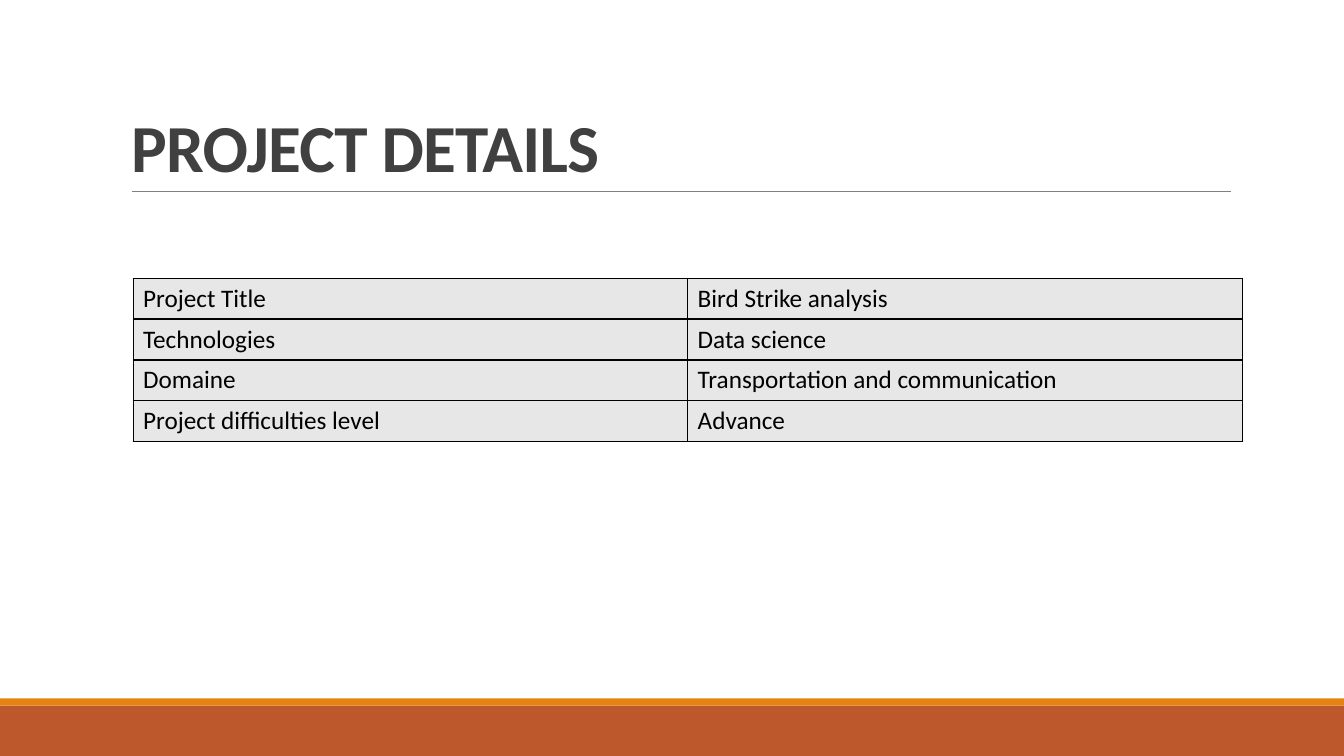
from lxml import etree
from pptx import Presentation
from pptx.dml.color import RGBColor
from pptx.enum.shapes import MSO_CONNECTOR, MSO_SHAPE
from pptx.enum.text import MSO_ANCHOR, MSO_AUTO_SIZE, PP_ALIGN
from pptx.oxml.ns import qn
from pptx.util import Inches, Pt

RECTANGLE = MSO_SHAPE.RECTANGLE
STRAIGHT = MSO_CONNECTOR.STRAIGHT
BOTTOM = MSO_ANCHOR.BOTTOM
LEFT = PP_ALIGN.LEFT
NO_FIT = MSO_AUTO_SIZE.NONE

TITLE = "PROJECT DETAILS"
DETAILS = [
    ("Project Title", "Bird Strike analysis"),
    ("Technologies", "Data science"),
    ("Domaine", "Transportation and communication"),
    ("Project difficulties level", "Advance"),
]

SLIDE_WIDTH, SLIDE_HEIGHT = 13.33, 7.5
FOOTER_BANDS = [(7, 0.5, "BD582C"), (6.93, 0.07, "E48312")]  # top, height, colour
CONTENT_WIDTH = 11
TITLE_LEFT, TITLE_TOP, TITLE_HEIGHT = 1.2, 0.31, 1.59
RULE_LEFT, RULE_RIGHT = 1.31, 12.21
TABLE_LEFT, TABLE_TOP, ROW_HEIGHT = 1.32, 2.76, 0.405


def color(hex_string):
    return RGBColor.from_string(hex_string)


def write_text(frame, text, size, hex_color, bold=False, line_spacing=None, tracking=None):
    paragraph = frame.paragraphs[0]
    paragraph.alignment = LEFT
    if line_spacing:
        paragraph.line_spacing = line_spacing
    run = paragraph.add_run()
    run.text = text
    font = run.font
    font.name, font.size, font.bold = "Calibri", Pt(size), bold
    font.color.rgb = color(hex_color)
    if tracking:
        font._element.set("spc", str(round(tracking * 100)))


def add_footer_band(slide, top, height, hex_color):
    band = slide.shapes.add_shape(
        RECTANGLE, 0, Inches(top), Inches(SLIDE_WIDTH), Inches(height))
    band.shadow.inherit = False
    band.fill.solid()
    band.fill.fore_color.rgb = color(hex_color)
    band.line.fill.background()


def add_title_rule(slide):
    height = Inches(TITLE_TOP + TITLE_HEIGHT)
    rule = slide.shapes.add_connector(
        STRAIGHT, Inches(RULE_LEFT), height, Inches(RULE_RIGHT), height)
    rule.line.color.rgb = color("808080")
    rule.line.width = Pt(0.5)
    etree.SubElement(rule._element.spPr, qn("a:effectLst"))


def set_title(slide):
    title = slide.shapes.title
    title.left, title.top = Inches(TITLE_LEFT), Inches(TITLE_TOP)
    title.width, title.height = Inches(CONTENT_WIDTH), Inches(TITLE_HEIGHT)
    frame = title.text_frame
    frame.vertical_anchor = BOTTOM
    frame.auto_size = NO_FIT
    write_text(frame, TITLE, 48, "404040", bold=True, line_spacing=0.85, tracking=-0.5)


def add_cell_borders(cell, hex_color, width):
    properties = cell._tc.get_or_add_tcPr()
    for position, side in enumerate(("lnL", "lnR", "lnT", "lnB")):
        border = etree.Element(qn(f"a:{side}"), w=str(Pt(width)))
        fill = etree.SubElement(border, qn("a:solidFill"))
        etree.SubElement(fill, qn("a:srgbClr"), val=hex_color)
        properties.insert(position, border)


def add_details_table(slide):
    rows, columns = len(DETAILS), len(DETAILS[0])
    table = slide.shapes.add_table(
        rows, columns, Inches(TABLE_LEFT), Inches(TABLE_TOP),
        Inches(CONTENT_WIDTH), Inches(ROW_HEIGHT * rows)).table
    table.first_row = table.horz_banding = False
    for row_index, row in enumerate(DETAILS):
        for column_index, text in enumerate(row):
            cell = table.cell(row_index, column_index)
            cell.fill.solid()
            cell.fill.fore_color.rgb = color("E7E7E7")
            add_cell_borders(cell, "000000", 1)
            write_text(cell.text_frame, text, 18, "000000")


def main():
    presentation = Presentation()
    presentation.slide_width = Inches(SLIDE_WIDTH)
    presentation.slide_height = Inches(SLIDE_HEIGHT)
    title_only = presentation.slide_layouts[5]
    slide = presentation.slides.add_slide(title_only)
    for band in FOOTER_BANDS:
        add_footer_band(slide, *band)
    add_title_rule(slide)
    set_title(slide)
    add_details_table(slide)
    presentation.save("out.pptx")


if __name__ == "__main__":
    main()
